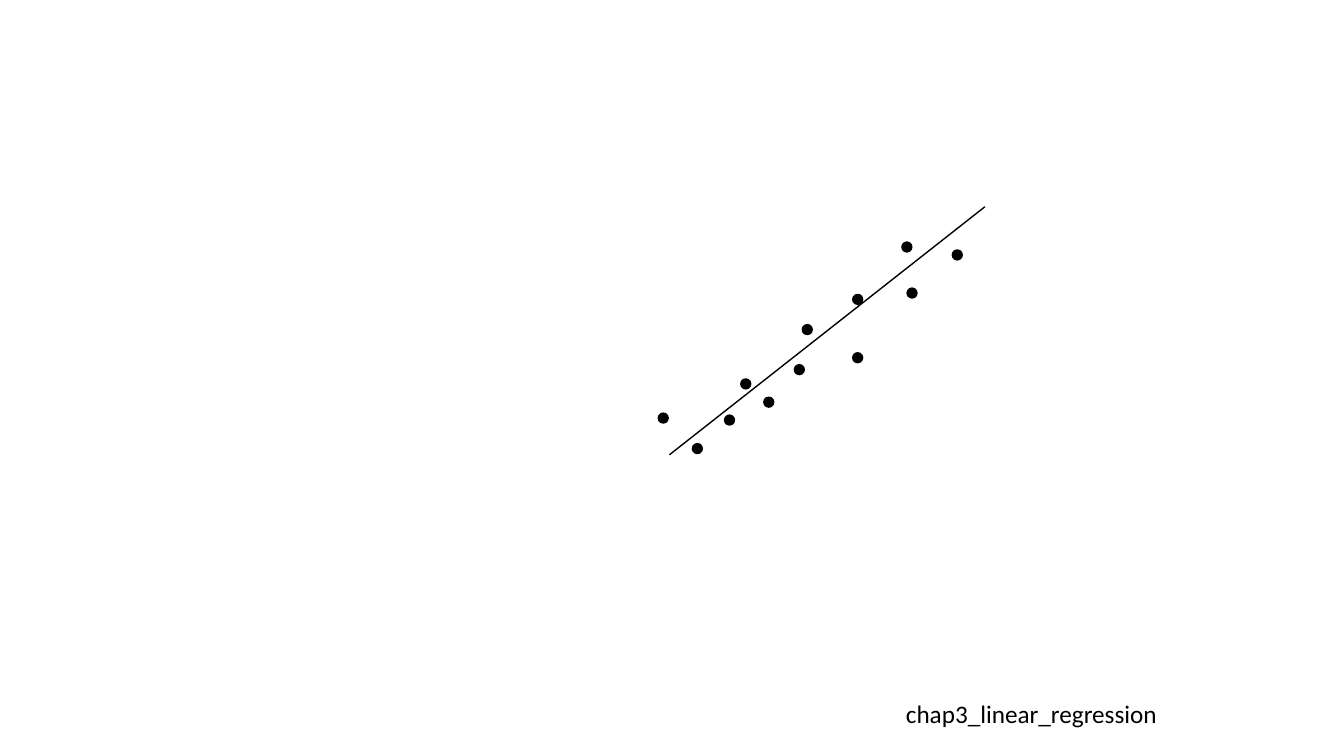
from dataclasses import dataclass

from lxml import etree
from pptx import Presentation
from pptx.dml.color import RGBColor
from pptx.enum.shapes import MSO_CONNECTOR, MSO_SHAPE
from pptx.enum.text import MSO_AUTO_SIZE
from pptx.oxml.ns import qn
from pptx.util import Cm, Pt

STRAIGHT = MSO_CONNECTOR.STRAIGHT
OVAL = MSO_SHAPE.OVAL
FIT_SHAPE = MSO_AUTO_SIZE.SHAPE_TO_FIT_TEXT


@dataclass(frozen=True)
class Theme:
    ink: RGBColor = RGBColor(0x00, 0x00, 0x00)
    font: str = "Calibri"
    label_size: Pt = Pt(18)
    line_width: Pt = Pt(1)


theme = Theme()

prs = Presentation()
prs.slide_width, prs.slide_height = Cm(33.87), Cm(19.05)
BLANK = prs.slide_layouts[6]
s = prs.slides.add_slide(BLANK)

# Regression line
fit_line = s.shapes.add_connector(STRAIGHT, Cm(16.87), Cm(11.46), Cm(24.82), Cm(5.21))
fit_line.line.color.rgb = theme.ink
fit_line.line.width = theme.line_width
etree.SubElement(fit_line._element.spPr, qn("a:effectLst"))

# Data points: left and top in cm
DOT_SIZE = Cm(0.25)
points = [
    (24.0, 6.3), (22.86, 7.26), (22.73, 6.1), (20.22, 8.18),
    (21.49, 8.89), (20.02, 9.19), (21.49, 7.42), (18.26, 10.46),
    (18.67, 9.55), (19.25, 10.01), (16.59, 10.41), (17.45, 11.18),
]
for left, top in points:
    sp = s.shapes.add_shape(OVAL, Cm(left), Cm(top), DOT_SIZE, DOT_SIZE)
    sp.shadow.inherit = False
    sp.fill.solid()
    sp.fill.fore_color.rgb = theme.ink
    sp.line.color.rgb = theme.ink
    sp.line.width = theme.line_width

# Chapter label
label = s.shapes.add_textbox(Cm(22.58), Cm(17.48), Cm(6.91), Cm(1.02))
tf = label.text_frame
tf.word_wrap = False
tf.auto_size = FIT_SHAPE
tf.text = "chap3_linear_regression"
r = tf.paragraphs[0].runs[0]
r.font.name = theme.font
r.font.size = theme.label_size
r.font.color.rgb = theme.ink

prs.save("out.pptx")
